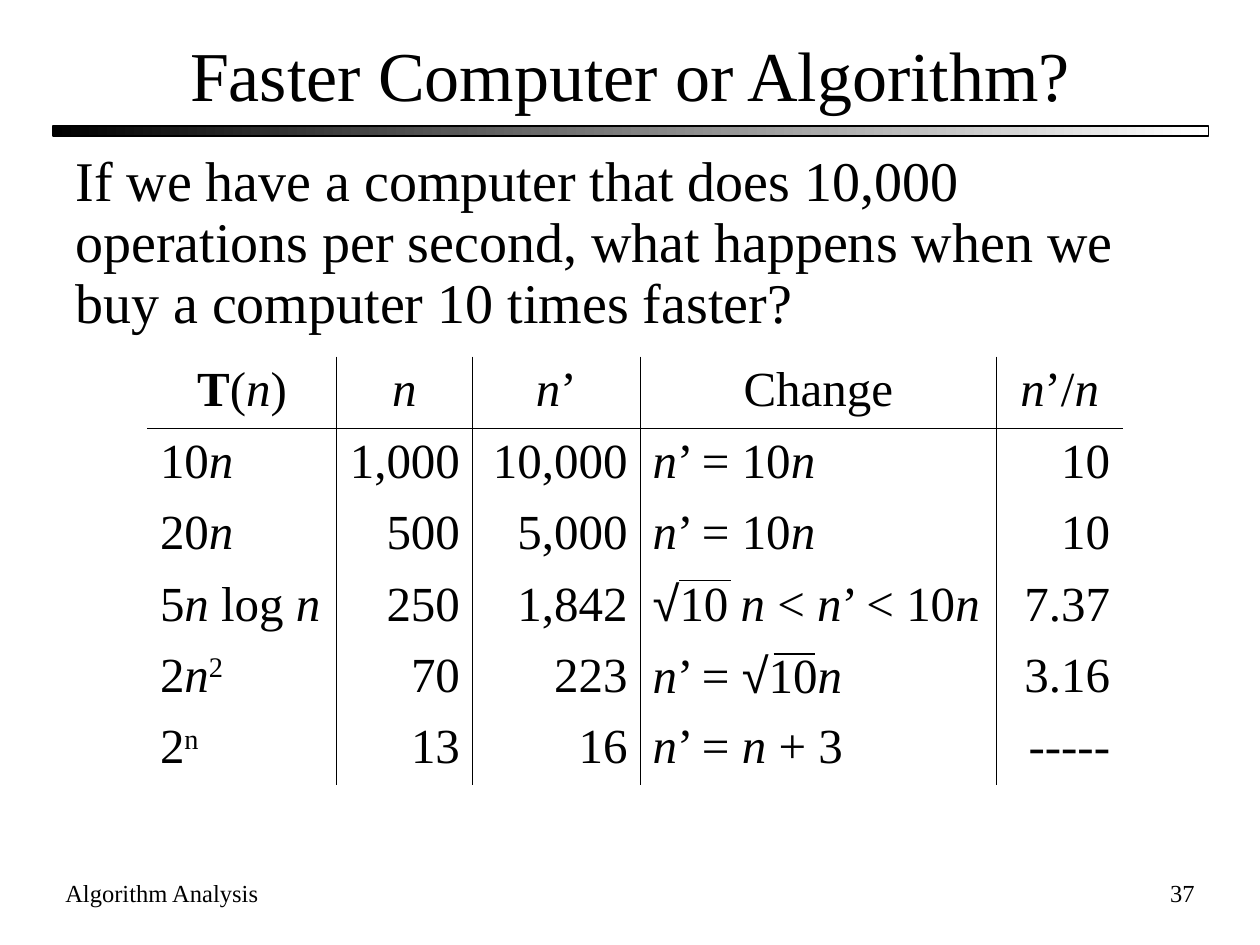
from dataclasses import dataclass
from typing import Any, NamedTuple

from lxml import etree
from pptx import Presentation
from pptx.dml.color import RGBColor
from pptx.enum import shapes, text
from pptx.oxml import ns
from pptx.util import Inches, Pt


@dataclass(frozen=True)
class Theme:
    ink: RGBColor = RGBColor(0, 0, 0)
    paper: RGBColor = RGBColor(255, 255, 255)
    face: str = "Times New Roman"
    symbol_face: str = "Arial"
    title: float = 40
    body: float = 32
    table: float = 28
    footer: float = 14
    rule: float = 0.75
    border: float = 0.45


class Run(NamedTuple):
    words: str
    style: dict[str, Any] = {}
    raised: bool = False


class Box(NamedTuple):
    words: str
    place: tuple[float, float, float, float]
    size: float
    paragraph_style: dict[str, Any] = {}
    anchor: Any = text.MSO_ANCHOR.TOP


THEME = Theme()
LEFT, CENTER, RIGHT = text.PP_ALIGN.LEFT, text.PP_ALIGN.CENTER, text.PP_ALIGN.RIGHT

# Slide content
BOXES = [
    Box("Algorithm Analysis", (0.42, 6.92, 3.5, 0.5), THEME.footer),
    Box("37", (7.5, 6.92, 2.08, 0.5), THEME.footer, {"alignment": RIGHT}),
    Box("Faster Computer or Algorithm?", (0.5, 0.17, 9, 0.83), THEME.title,
        {"alignment": CENTER}, text.MSO_ANCHOR.MIDDLE),
    Box("If we have a computer that does 10,000 operations per second, "
        "what happens when we buy a computer 10 times faster?",
        (0.5, 1.17, 9, 1.67), THEME.body, {"line_spacing": 0.9}),
]

N = Run("n", {"italic": True})
ROOT = Run("√", {"name": THEME.symbol_face})
GROWTH_ROWS = [
    [[Run("T", {"bold": True}), "(", N, ")"], [N], [N, "’"], ["Change"], [N, "’/", N]],
    [["10", N], ["1,000"], ["10,000"], [N, "’ = 10", N], ["10"]],
    [["20", N], ["500"], ["5,000"], [N, "’ = 10", N], ["10"]],
    [["5", N, " log ", N], ["250"], ["1,842"],
     [ROOT, "10 ", N, " < ", N, "’ < 10", N], ["7.37"]],
    [["2", N, Run("2", raised=True)], ["70"], ["223"],
     [N, "’ = ", ROOT, "10", N], ["3.16"]],
    [["2", Run("n", raised=True)], ["13"], ["16"], [N, "’ = ", N, " + 3"], ["-----"]],
]
COLUMN_WIDTHS = [1.5, 1.08, 1.33, 2.83, 1]
COLUMN_ALIGNMENTS = [LEFT, RIGHT, RIGHT, LEFT, RIGHT]
TABLE_LEFT, TABLE_TOP, TABLE_HEIGHT = 1.17, 2.83, 3.4
ROOT_BARS = [(5.39, 5.8, 4.61), (6.14, 6.47, 5.19)]


def apply(target: Any, values: dict[str, Any]) -> None:
    for attribute, value in values.items():
        setattr(target, attribute, value)


def add_run(paragraph: Any, part: Run | str, size: float) -> None:
    part = Run(part) if isinstance(part, str) else part
    run = paragraph.add_run()
    run.text = part.words
    apply(run.font, {"name": THEME.face, "size": Pt(size), "bold": False,
                     "italic": False} | part.style)
    run.font.color.rgb = THEME.ink
    if part.raised:
        run._r.get_or_add_rPr().set("baseline", "30000")


def add_box(slide: Any, box: Box) -> None:
    frame = slide.shapes.add_textbox(*map(Inches, box.place)).text_frame
    apply(frame, {"word_wrap": True, "vertical_anchor": box.anchor})
    apply(frame.paragraphs[0], box.paragraph_style)
    add_run(frame.paragraphs[0], box.words, box.size)


def set_borders(cell: Any, visible: dict[str, bool]) -> None:
    cell.fill.background()
    properties = cell._tc.get_or_add_tcPr()
    for position, (side, shown) in enumerate(visible.items()):
        line = etree.Element(ns.qn(f"a:ln{side}"), w=str(Pt(THEME.border)))
        if shown:
            fill = etree.SubElement(line, ns.qn("a:solidFill"))
            etree.SubElement(fill, ns.qn("a:srgbClr"), val=str(THEME.ink))
        else:
            etree.SubElement(line, ns.qn("a:noFill"))
        properties.insert(position, line)


def add_growth_table(slide: Any) -> None:
    row_count, column_count = len(GROWTH_ROWS), len(COLUMN_WIDTHS)
    table = slide.shapes.add_table(
        row_count, column_count, Inches(TABLE_LEFT), Inches(TABLE_TOP),
        Inches(sum(COLUMN_WIDTHS)), Inches(TABLE_HEIGHT)).table
    apply(table, {"first_row": False, "horz_banding": False})
    for column, width in zip(table.columns, COLUMN_WIDTHS):
        column.width = Inches(width)
    for r, row in enumerate(GROWTH_ROWS):
        for c, parts in enumerate(row):
            cell = table.cell(r, c)
            paragraph = cell.text_frame.paragraphs[0]
            paragraph.alignment = COLUMN_ALIGNMENTS[c] if r else CENTER
            for part in parts:
                add_run(paragraph, part, THEME.table)
            # Inner verticals and one line under the header
            set_borders(cell, {"L": c > 0, "R": c < column_count - 1,
                               "T": r == 1, "B": r == 0})


def add_title_rule(slide: Any) -> None:
    rule = slide.shapes.add_shape(shapes.MSO_SHAPE.RECTANGLE,
                                  *map(Inches, (0.42, 1, 9.17, 0.08)))
    rule.shadow.inherit = False
    rule.fill.gradient()
    rule.fill.gradient_angle = 0
    for stop, color in zip(rule.fill.gradient_stops, (THEME.ink, THEME.paper)):
        stop.color.rgb = color
    rule.line.color.rgb = THEME.ink
    rule.line.width = Pt(THEME.rule)


def add_root_bar(slide: Any, start: float, end: float, y: float) -> None:
    bar = slide.shapes.add_connector(shapes.MSO_CONNECTOR.STRAIGHT,
                                     *map(Inches, (start, y, end, y)))
    bar.line.color.rgb = THEME.ink
    bar.line.width = Pt(THEME.rule)
    etree.SubElement(bar._element.spPr, ns.qn("a:effectLst"))


def main() -> None:
    deck = Presentation()
    apply(deck, {"slide_width": Inches(10), "slide_height": Inches(7.5)})
    slide = deck.slides.add_slide(deck.slide_layouts[6])

    # Title rule, footer, title and question
    add_title_rule(slide)
    for box in BOXES:
        add_box(slide, box)

    # Growth table with bars over the square roots
    add_growth_table(slide)
    for bar in ROOT_BARS:
        add_root_bar(slide, *bar)

    deck.save("out.pptx")


if __name__ == "__main__":
    main()
